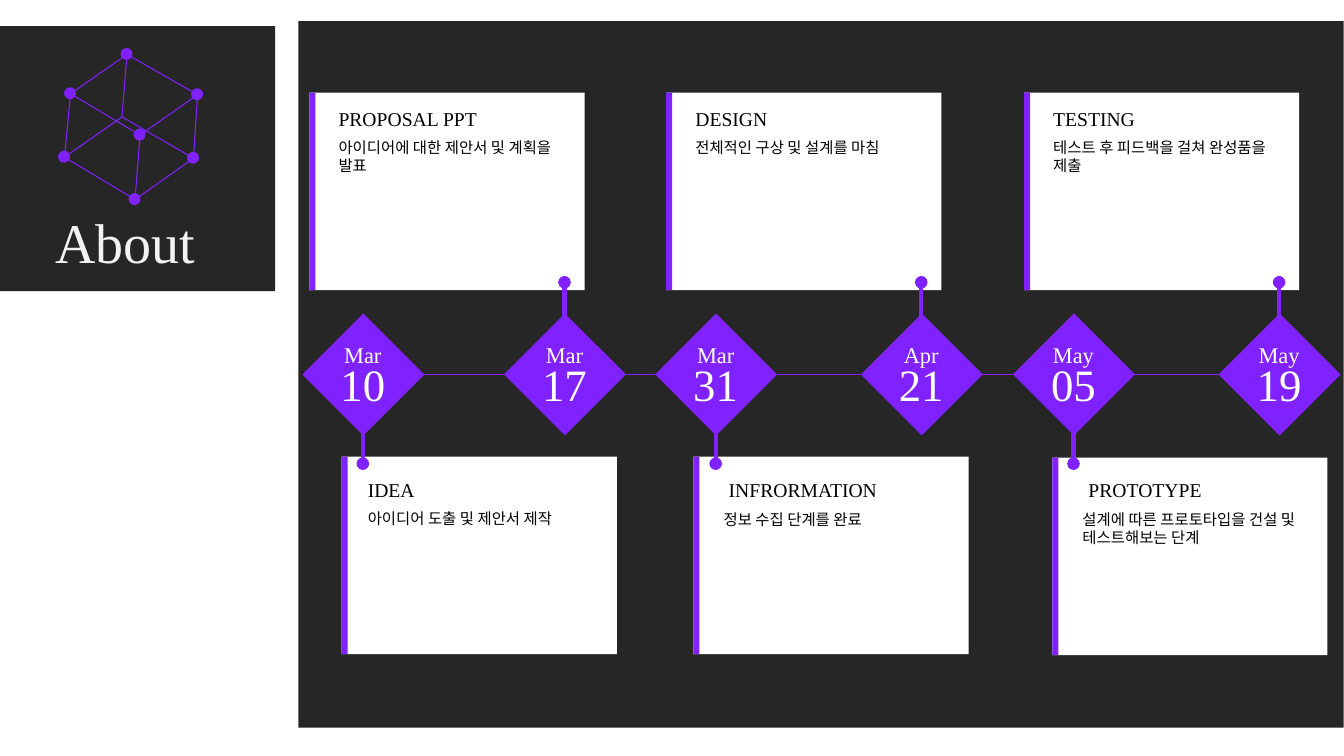
from dataclasses import dataclass

from lxml import etree
from pptx import Presentation
from pptx.dml.color import RGBColor
from pptx.enum.shapes import MSO_CONNECTOR, MSO_SHAPE
from pptx.enum.text import MSO_ANCHOR, MSO_AUTO_SIZE, PP_ALIGN
from pptx.oxml.ns import qn
from pptx.util import Emu, Pt

EMU_PER_PX = 9144  # 100 px to the inch
FONT = "Times New Roman"
COLORS = {
    "dark": "262626",
    "purple": "8021FF",
    "white": "FFFFFF",
    "black": "000000",
    "title": "F2F2F2",
}
RECTANGLE, OVAL, DIAMOND = MSO_SHAPE.RECTANGLE, MSO_SHAPE.OVAL, MSO_SHAPE.DIAMOND
STRAIGHT = MSO_CONNECTOR.STRAIGHT
LEFT, CENTER = PP_ALIGN.LEFT, PP_ALIGN.CENTER

CARD_WIDTH, CARD_HEIGHT, ACCENT_WIDTH = 273, 196, 6
DIAMOND_SIZE, DIAMOND_TOP, AXIS_Y = 121, 311, 372
DATE_WIDTH = 66
DOT_SIZE = 9


@dataclass(frozen=True)
class Milestone:
    month: str
    day: str
    heading: str
    body: str
    diamond_left: int
    card_left: int
    card_top: int
    heading_left: int
    body_left: int
    body_top: int
    text_width: int = 238

    @property
    def is_above(self) -> bool:
        return self.card_top < DIAMOND_TOP

    @property
    def center(self) -> int:
        return self.diamond_left + DIAMOND_SIZE // 2


def upper(month: str, day: str, heading: str, body: str, card_left: int) -> Milestone:
    """Milestone whose card stands above the axis, at fixed offsets."""
    text_left = card_left + 19
    return Milestone(month, day, heading, body, card_left + 193, card_left, 92,
                     text_left, text_left, 132)


MILESTONES = [
    Milestone("Mar", "10", "IDEA", "아이디어 도출 및 제안서 제작",
              300, 339, 453, 355, 355, 500),
    upper("Mar", "17", "PROPOSAL PPT", "아이디어에 대한 제안서 및 계획을 발표", 307),
    Milestone("Mar", "31", "INFRORMATION", "정보 수집 단계를 완료",
              650, 688, 453, 713, 708, 501),
    upper("Apr", "21", "DESIGN", "전체적인 구상 및 설계를 마침", 661),
    Milestone("May", "05", "PROTOTYPE", "설계에 따른 프로토타입을 건설 및 테스트해보는 단계",
              1005, 1044, 454, 1070, 1064, 501),
    upper("May", "19", "TESTING", "테스트 후 피드백을 걸쳐 완성품을 제출", 1016),
]

CUBE_VERTICES = {
    "top": (126, 54), "left": (70, 93), "right": (196, 94), "front": (139, 134),
    "low_left": (64, 156), "bottom": (134, 198), "low_right": (192, 157),
    "back": (121, 116),
}
CUBE_EDGES = [
    ("top", "left"), ("right", "top"), ("front", "left"), ("right", "front"),
    ("back", "low_left"), ("low_right", "back"), ("bottom", "low_left"),
    ("low_right", "bottom"), ("top", "back"), ("left", "low_left"),
    ("right", "low_right"), ("front", "bottom"),
]


def px(value: int) -> Emu:
    return Emu(value * EMU_PER_PX)


def color(name: str) -> RGBColor:
    return RGBColor.from_string(COLORS[name])


def add_block(shapes, kind, left: int, top: int, width: int, height: int,
              fill: str, outline: float = 0):
    shape = shapes.add_shape(kind, px(left), px(top), px(width), px(height))
    shape.shadow.inherit = False
    shape.fill.solid()
    shape.fill.fore_color.rgb = color(fill)
    if outline:
        shape.line.color.rgb = color(fill)
        shape.line.width = Pt(outline)
    else:
        shape.line.fill.background()
    return shape


def add_line(shapes, start: tuple[int, int], end: tuple[int, int],
             width: float = 0.75, oval_end: str = ""):
    """Purple line; oval_end is "headEnd", "tailEnd" or empty."""
    connector = shapes.add_connector(STRAIGHT, *map(px, start + end))
    connector.line.color.rgb = color("purple")
    connector.line.width = Pt(width)
    properties = connector.element.spPr
    if oval_end:
        line = properties.find(qn("a:ln"))
        etree.SubElement(line, qn(f"a:{oval_end}"), type="oval")
    etree.SubElement(properties, qn("a:effectLst"))
    return connector


def set_text(shape, text: str, *, size: int, ink: str = "black",
             align=LEFT, wrap: bool = True) -> None:
    frame = shape.text_frame
    frame.word_wrap = wrap
    frame.auto_size = MSO_AUTO_SIZE.SHAPE_TO_FIT_TEXT
    frame.vertical_anchor = MSO_ANCHOR.TOP
    paragraph = frame.paragraphs[0]
    paragraph.alignment = align
    run = paragraph.add_run()
    run.text = text
    run.font.name = FONT
    run.font.size = Pt(size)
    run.font.color.rgb = color(ink)


def add_text(shapes, text: str, left: int, top: int, width: int, height: int,
             **text_format) -> None:
    box = shapes.add_textbox(px(left), px(top), px(width), px(height))
    set_text(box, text, **text_format)


def add_cube(shapes) -> None:
    group = shapes.add_group_shape()
    for start, end in CUBE_EDGES:
        add_line(group.shapes, CUBE_VERTICES[start], CUBE_VERTICES[end])
    for name, (x, y) in CUBE_VERTICES.items():
        if name != "back":
            add_block(group.shapes, OVAL, x - 5, y - 5,
                      DOT_SIZE, DOT_SIZE, "purple", outline=2)


def add_card(shapes, item: Milestone) -> None:
    left, top = item.card_left, item.card_top
    add_block(shapes, RECTANGLE, left, top, CARD_WIDTH, CARD_HEIGHT, "white")
    add_block(shapes, RECTANGLE, left, top, ACCENT_WIDTH, CARD_HEIGHT, "purple")
    heading_top = top + 9 if item.is_above else 469
    add_text(shapes, item.heading, item.heading_left, heading_top,
             item.text_width, 34, size=14)
    add_text(shapes, item.body, item.body_left, item.body_top,
             item.text_width, 47, size=11)
    if item.is_above:
        add_line(shapes, (item.center, 280), (item.center, 327), 3, "headEnd")
    else:
        add_line(shapes, (item.center, 413), (item.center, 460), 3, "tailEnd")


def add_date(shapes, item: Milestone) -> None:
    add_block(shapes, DIAMOND, item.diamond_left, DIAMOND_TOP,
              DIAMOND_SIZE, DIAMOND_SIZE, "purple")
    left = item.center - DATE_WIDTH // 2
    label_format = {"ink": "white", "align": CENTER, "wrap": False}
    add_text(shapes, item.month, left, 334, DATE_WIDTH, 37, size=16, **label_format)
    add_text(shapes, item.day, left, 349, DATE_WIDTH, 64, size=32, **label_format)


def main() -> None:
    presentation = Presentation()
    presentation.slide_width, presentation.slide_height = Emu(12192000), px(750)
    slide = presentation.slides.add_slide(presentation.slide_layouts[5])
    shapes = slide.shapes

    # Title block with the cube
    add_block(shapes, RECTANGLE, -7, 26, 280, 263, "dark")
    title = shapes.title
    title.left, title.top, title.width, title.height = map(px, (44, 201, 160, 77))
    set_text(title, "About", size=40, ink="title", align=CENTER, wrap=False)
    title.element.getparent().append(title.element)  # in front of the block
    add_cube(shapes)

    # Timeline panel: cards, axis, dates
    add_block(shapes, RECTANGLE, 296, 21, 1037, 701, "dark")
    for item in MILESTONES:
        add_card(shapes, item)
    add_line(shapes, (313, AXIS_Y), (1322, AXIS_Y))
    for item in MILESTONES:
        add_date(shapes, item)

    presentation.save("out.pptx")


if __name__ == "__main__":
    main()
